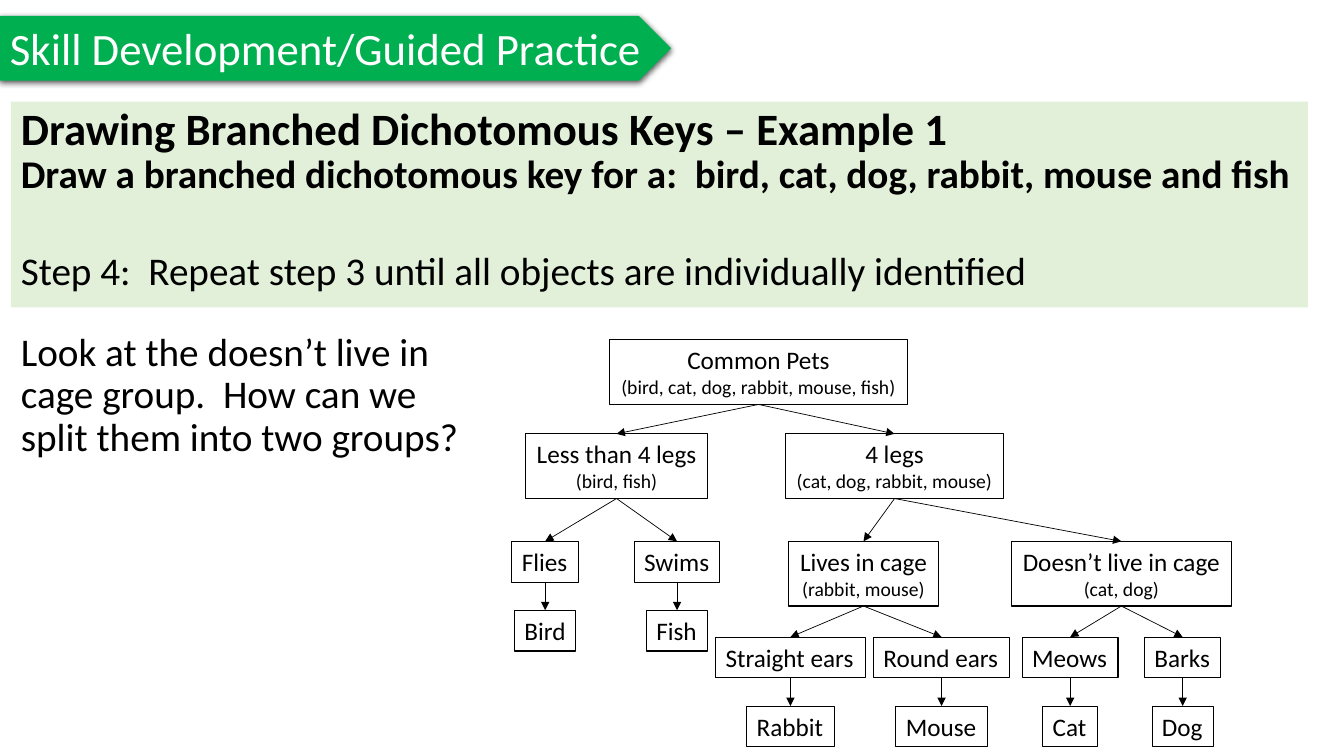
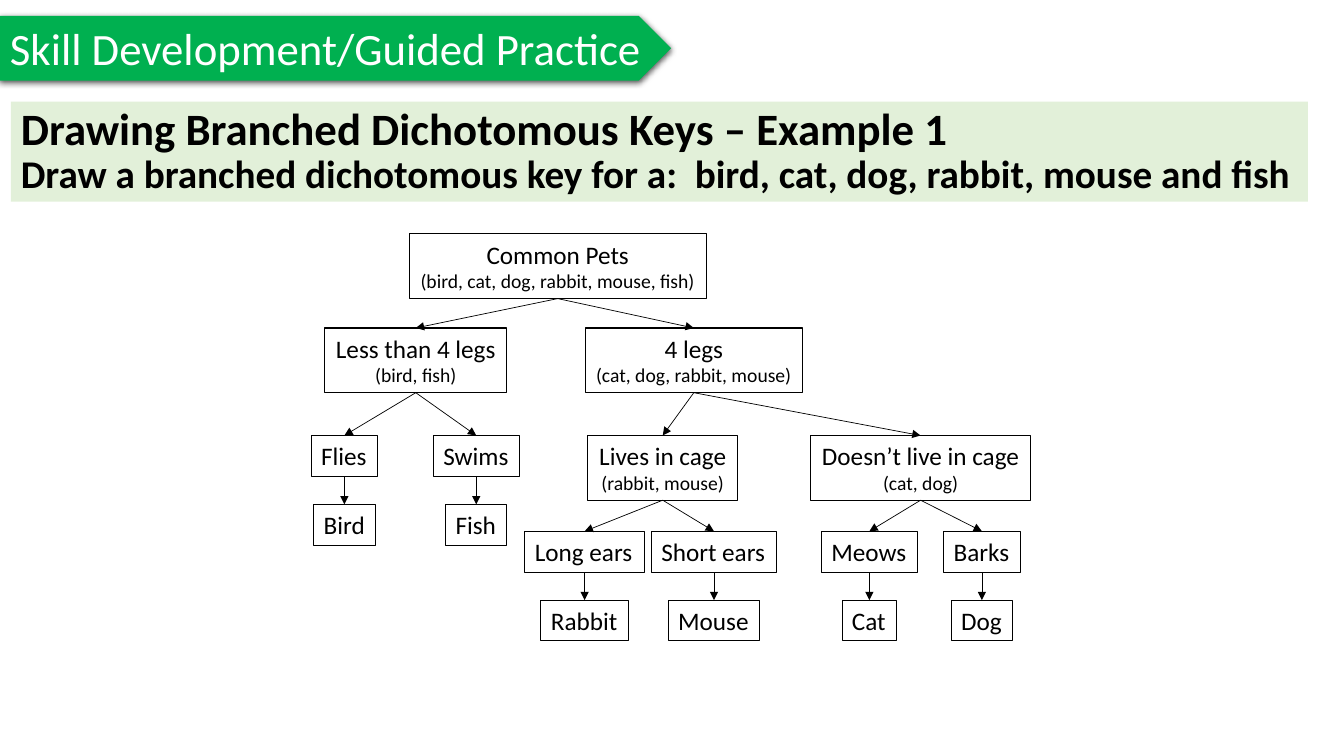
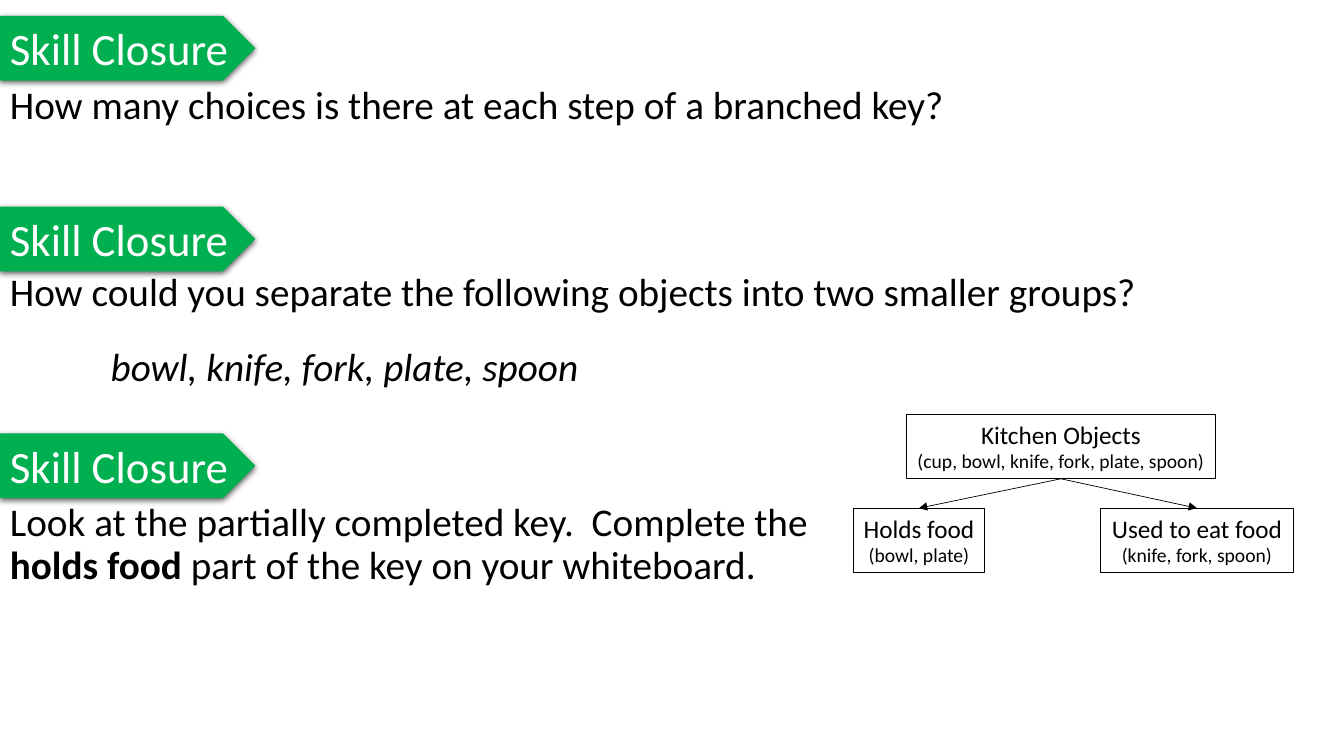
from dataclasses import dataclass

import lxml.etree
import pptx
import pptx.dml.color
import pptx.enum.shapes
import pptx.enum.text
import pptx.oxml.ns
import pptx.util
from pptx.shapes.autoshape import Shape
from pptx.slide import Slide
from pptx.text.text import TextFrame

SLIDE_WIDTH, SLIDE_HEIGHT = 12192000, 6858000
COLUMNS = 160
CELL = SLIDE_WIDTH // COLUMNS
KIND = pptx.enum.shapes.MSO_SHAPE
ALIGN = pptx.enum.text.PP_ALIGN


@dataclass(frozen=True)
class Theme:
    font: str = "Calibri"
    ink: str = "000000"
    tag_ink: str = "FFFFFF"
    tag_fill: str = "00B050"
    panel_fill: str = "E2F0D9"
    heading: int = 32
    body: int = 28
    node: int = 18
    note: int = 14
    box_line: float = 0.75
    arrow_line: float = 0.5


THEME = Theme()


@dataclass(frozen=True)
class Area:
    left: float
    top: float
    width: float
    height: float

    def lengths(self) -> tuple[int, ...]:
        return tuple(round(cells * CELL) for cells in (self.left, self.top, self.width, self.height))


@dataclass(frozen=True)
class Span:
    text: str
    bold: bool = False


@dataclass(frozen=True)
class Line:
    text: str | tuple[Span, ...]
    size: int = THEME.body
    colour: str = THEME.ink
    bold: bool | None = None
    italic: bool | None = None
    spacing: float = 0.9
    before: int = 0
    indent: int = 0
    align: ALIGN = ALIGN.LEFT


@dataclass(frozen=True)
class Node:
    label: str
    width: float
    shift: float = 0
    note: str = ""
    children: tuple["Node", ...] = ()


TAG_HEIGHT = 7.7
SINGLE_HEIGHT = 4.85
DOUBLE_HEIGHT = 7.7
BRANCH_GAPS = (3.5, 5.1, 3.7)
CHAIN_GAP = 3.35


def colour(code: str) -> pptx.dml.color.RGBColor:
    return pptx.dml.color.RGBColor.from_string(code)


def add_element(parent: lxml.etree._Element, tag: str, **attributes: str) -> lxml.etree._Element:
    return lxml.etree.SubElement(parent, pptx.oxml.ns.qn(tag), attributes)


def write(frame: TextFrame, lines: tuple[Line, ...], wrap: bool = True) -> None:
    frame.word_wrap = wrap
    frame.vertical_anchor = pptx.enum.text.MSO_ANCHOR.TOP
    if not wrap:
        frame.auto_size = pptx.enum.text.MSO_AUTO_SIZE.SHAPE_TO_FIT_TEXT
    for index, line in enumerate(lines):
        para = frame.add_paragraph() if index else frame.paragraphs[0]
        para.alignment = line.align
        para.line_spacing = line.spacing
        if line.before:
            para.space_before = pptx.util.Pt(line.before)
        if line.indent:
            para._p.get_or_add_pPr().set("marL", str(line.indent * CELL))
        spans = (Span(line.text),) if isinstance(line.text, str) else line.text
        for span in spans:
            run = para.add_run()
            run.text = span.text
            if span.bold:
                run.font.bold = True
        font = para.font
        font.name = THEME.font
        font.size = pptx.util.Pt(line.size)
        font.color.rgb = colour(line.colour)
        font.bold = line.bold
        font.italic = line.italic


def add_box(page: Slide, kind: KIND, area: Area, fill: str = "", outline: str = "") -> Shape:
    box = page.shapes.add_shape(kind, *area.lengths())
    box.shadow.inherit = False
    if fill:
        box.fill.solid()
        box.fill.fore_color.rgb = colour(fill)
    else:
        box.fill.background()
    if outline:
        box.line.color.rgb = colour(outline)
        box.line.width = pptx.util.Pt(THEME.box_line)
    else:
        box.line.fill.background()
    return box


def add_tag(page: Slide, text: str, width: float, top: float = 1.9) -> None:
    tag = add_box(page, KIND.PENTAGON, Area(0, top, width, TAG_HEIGHT), THEME.tag_fill)
    effects = tag._element.spPr.find(pptx.oxml.ns.qn("a:effectLst"))
    shadow = add_element(effects, "a:outerShdw", blurRad="57150", dist="19050",
                         dir="5400000", algn="ctr", rotWithShape="0")
    add_element(add_element(shadow, "a:srgbClr", val="000000"), "a:alpha", val="63000")
    write(tag.text_frame, (Line(text, THEME.heading, THEME.tag_ink, spacing=1.0),), wrap=False)


def add_panel(page: Slide, height: float, extra: tuple[Line, ...] = ()) -> None:
    panel = add_box(page, KIND.RECTANGLE, Area(1.3, 12.1, 154.4, height), THEME.panel_fill)
    task = "Draw a branched dichotomous key for a:  bird, cat, dog, rabbit, mouse and fish"
    write(panel.text_frame, (
        Line("Drawing Branched Dichotomous Keys – Example 1", THEME.heading, bold=True),
        Line(task, bold=True),
        *extra,
    ))


def add_text(page: Slide, area: Area, *lines: Line) -> None:
    write(page.shapes.add_textbox(*area.lengths()).text_frame, lines)


def add_arrow(page: Slide, start: Shape, end: Shape) -> None:
    arrow = page.shapes.add_connector(pptx.enum.shapes.MSO_CONNECTOR.STRAIGHT, 0, 0, 0, 0)
    arrow.begin_connect(start, 2)
    arrow.end_connect(end, 0)
    arrow.line.color.rgb = colour(THEME.ink)
    arrow.line.width = pptx.util.Pt(THEME.arrow_line)
    add_element(arrow.line._get_or_add_ln(), "a:tailEnd", type="triangle")
    add_element(arrow._element.spPr, "a:effectLst")


def add_tree(page: Slide, node: Node, centre: float, top: float, depth: int = 0) -> Shape:
    height = DOUBLE_HEIGHT if node.note else SINGLE_HEIGHT
    area = Area(centre - node.width / 2, top, node.width, height)
    box = add_box(page, KIND.RECTANGLE, area, outline=THEME.ink)
    align = ALIGN.CENTER if node.note else ALIGN.LEFT
    lines = [Line(node.label, THEME.node, spacing=1.0, align=align)]
    if node.note:
        lines.append(Line(node.note, THEME.note, spacing=1.0, align=align))
    write(box.text_frame, tuple(lines), wrap=False)
    for child in node.children:
        gap = BRANCH_GAPS[depth] if len(node.children) > 1 else CHAIN_GAP
        child_box = add_tree(page, child, centre + child.shift, top + height + gap, depth + 1)
        add_arrow(page, box, child_box)
    return box


def trait(label: str, width: float, shift: float, animal: str, animal_width: float) -> Node:
    return Node(label, width, shift, children=(Node(animal, animal_width),))


def pets(rabbit: Node, mouse: Node) -> Node:
    few_legs = Node("Less than 4 legs", 21.7, -16.9, "(bird, fish)", (
        trait("Flies", 7.9, -8.5, "Bird", 7.3),
        trait("Swims", 10.2, 7.2, "Fish", 7.3),
    ))
    caged = Node("Lives in cage", 17.8, -3.7, "(rabbit, mouse)", (rabbit, mouse))
    free = Node("Doesn’t live in cage", 26.2, 27, "(cat, dog)", (
        trait("Meows", 11.4, -6.1, "Cat", 6.5),
        trait("Barks", 9.1, 7.3, "Dog", 7.3),
    ))
    four_legs = Node("4 legs", 25.9, 16.2, "(cat, dog, rabbit, mouse)", (caged, free))
    return Node("Common Pets", 35.4, 0, "(bird, cat, dog, rabbit, mouse, fish)", (few_legs, four_legs))


def build_step(page: Slide) -> None:
    add_tag(page, "Skill Development/Guided Practice", 79.9)
    step = "Step 4:  Repeat step 3 until all objects are individually identified"
    add_panel(page, 24.5, (Line(step, spacing=1.0, before=35),))
    question = "Look at the doesn’t live in cage group.  How can we split them into two groups?"
    add_text(page, Area(1.3, 39, 55.3, 30), Line(question))
    key = pets(trait("Straight ears", 17.8, -8.7, "Rabbit", 10.4),
               trait("Round ears", 16.2, 9.3, "Mouse", 10.9))
    add_tree(page, key, 90.3, 40.45)


def build_finished_key(page: Slide) -> None:
    add_tag(page, "Skill Development/Guided Practice", 79.9)
    add_panel(page, 11.9)
    key = pets(trait("Long ears", 14.2, -9.3, "Rabbit", 10.4),
               trait("Short ears", 14.9, 6.1, "Mouse", 10.9))
    add_tree(page, key, 66.4, 27.85)


def build_closure(page: Slide) -> None:
    for top in (1.9, 24.6, 51.6):
        add_tag(page, "Skill Closure", 30.4, top)
    add_text(page, Area(0, 9.6, 118.1, 11.4),
             Line("How many choices is there at each step of a branched key?"))
    add_text(page, Area(0, 32.3, 147.4, 15),
             Line("How could you separate the following objects into two smaller groups?", spacing=0.8),
             Line("bowl, knife, fork, plate, spoon", italic=True, spacing=0.8, before=27, indent=12))
    add_text(page, Area(0, 59.3, 98, 21.5), Line((
        Span("Look at the partially completed key.  Complete the "),
        Span("holds food ", bold=True),
        Span("part of the key on your whiteboard."),
    )))
    kitchen = Node("Kitchen Objects", 36.8, 0, "(cup, bowl, knife, fork, plate, spoon)", (
        Node("Holds food", 15.7, -16.9, "(bowl, plate)"),
        Node("Used to eat food", 22.9, 16.2, "(knife, fork, spoon)"),
    ))
    add_tree(page, kitchen, 126.3, 49.3)


def main() -> None:
    deck = pptx.Presentation()
    deck.slide_width, deck.slide_height = SLIDE_WIDTH, SLIDE_HEIGHT
    for build in (build_step, build_finished_key, build_closure):
        build(deck.slides.add_slide(deck.slide_layouts[6]))
    deck.save("out.pptx")


if __name__ == "__main__":
    main()
